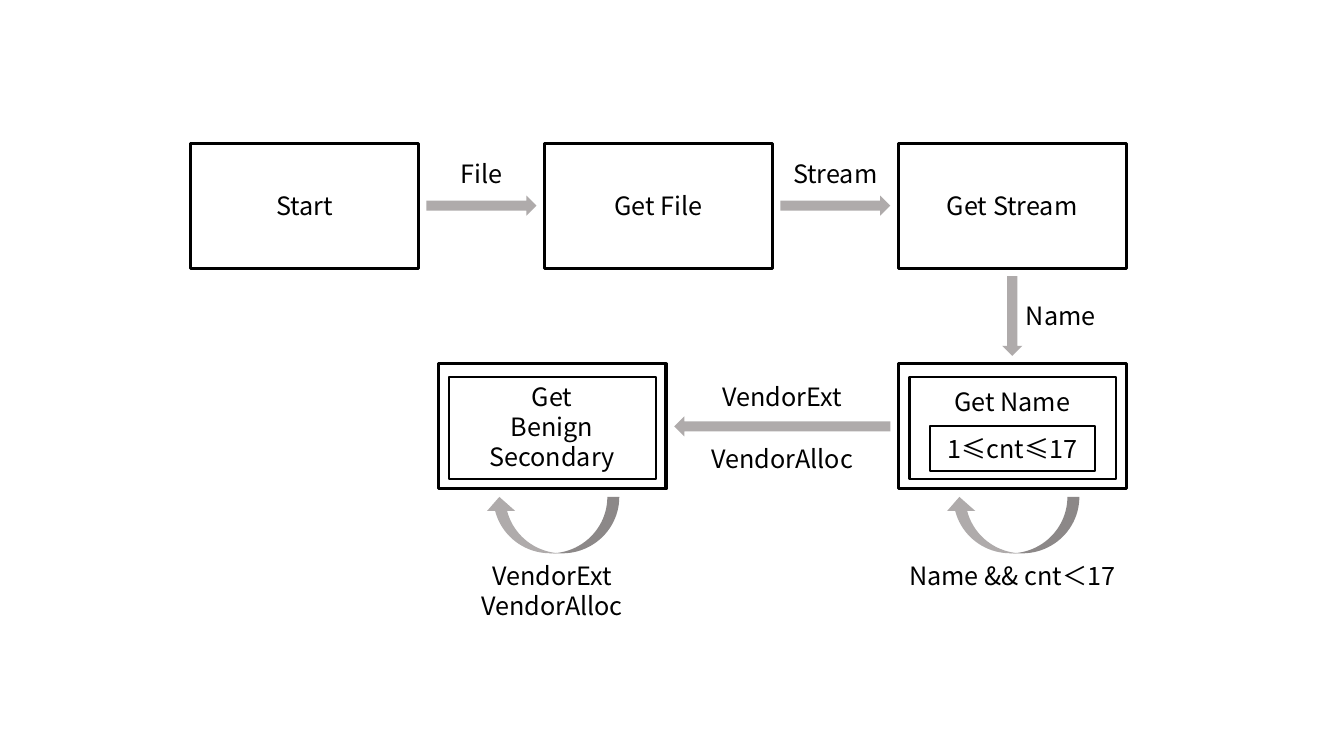
import pptx
import pptx.dml.color
import pptx.enum.shapes
import pptx.enum.text
import pptx.util

Inches = pptx.util.Inches
SHAPE = pptx.enum.shapes.MSO_SHAPE
ANCHOR = pptx.enum.text.MSO_ANCHOR

BLACK = pptx.dml.color.RGBColor(0x00, 0x00, 0x00)
GREY = pptx.dml.color.RGBColor(0xAF, 0xAB, 0xAB)
FONT = "Noto Sans CJK SC"

# Grid of states, in inches
LEFT, TOP = 1.89, 1.42
COLUMN, ROW = 3.51, 2.19
STATE_W, STATE_H = 2.26, 1.24
GAP = 0.08          # between a state and its arrow
THICK = 0.2         # arrow height
LINE_H = 0.4        # one line of label


def state_origin(column, row):
    return LEFT + column * COLUMN, TOP + row * ROW


def write(shape, lines, anchor):
    frame = shape.text_frame
    frame.word_wrap = True
    frame.vertical_anchor = anchor
    frame.text = "\n".join(lines)
    for paragraph in frame.paragraphs:
        paragraph.alignment = pptx.enum.text.PP_ALIGN.CENTER
        paragraph.font.name = FONT
        paragraph.font.size = pptx.util.Pt(18)
        paragraph.font.color.rgb = BLACK


def add_box(slide, x, y, width, height, weight, lines=()):
    box = slide.shapes.add_shape(SHAPE.RECTANGLE, Inches(x), Inches(y),
                                 Inches(width), Inches(height))
    box.shadow.inherit = False
    box.fill.background()
    box.line.color.rgb = BLACK
    box.line.width = pptx.util.Pt(weight)
    if lines:
        write(box, lines, ANCHOR.MIDDLE)


def add_state(slide, column, row, *lines):
    add_box(slide, *state_origin(column, row), STATE_W, STATE_H, 2.25, lines)


def add_inner_frame(slide, column, row):
    x, y = state_origin(column, row)
    add_box(slide, x + 0.11, y + 0.13, 2.05, 1.01, 1.5)


def add_label(slide, center, y, width, *lines):
    label = slide.shapes.add_textbox(Inches(center - width / 2), Inches(y),
                                     Inches(width), Inches(LINE_H * len(lines)))
    write(label, lines, ANCHOR.TOP)


def add_arrow(slide, kind, x, y, width, height):
    arrow = slide.shapes.add_shape(kind, Inches(x), Inches(y),
                                   Inches(width), Inches(height))
    arrow.shadow.inherit = False
    arrow.fill.solid()
    arrow.fill.fore_color.rgb = GREY
    arrow.line.fill.background()
    return arrow


def add_row_arrow(slide, kind, row, from_column, to_column):
    """Fill the space between two states of a row; return its centre."""
    x, y = state_origin(from_column, row)
    start = x + STATE_W + GAP
    end = state_origin(to_column, row)[0] - GAP
    add_arrow(slide, kind, start, y + (STATE_H - THICK) / 2, end - start, THICK)
    return (start + end) / 2


def add_self_loop(slide, column, row, *lines):
    x, y = state_origin(column, row)
    center = x + STATE_W / 2
    width, height = 0.56, 1.33
    middle = y + STATE_H + GAP + width / 2
    loop = add_arrow(slide, SHAPE.CURVED_LEFT_ARROW, center - width / 2,
                     middle - height / 2, width, height)
    loop.rotation = 90
    loop.adjustments[0] = 0.212
    add_label(slide, center, y + 1.9, STATE_W, *lines)


def main():
    deck = pptx.Presentation()
    deck.slide_width, deck.slide_height = Inches(13.33), Inches(7.5)
    slide = deck.slides.add_slide(deck.slide_layouts[6])

    # States
    for column, name in enumerate(("Start", "Get File", "Get Stream")):
        add_state(slide, column, 0, name)
    add_state(slide, 0.7, 1, "Get", "Benign Secondary")
    add_state(slide, 2, 1)
    for column in (0.7, 2):
        add_inner_frame(slide, column, 1)

    # Content of the counting state
    name_x, name_y = state_origin(2, 1)
    name_center = name_x + STATE_W / 2
    add_label(slide, name_center, name_y + 0.17, 1.61, "Get Name")
    add_box(slide, name_x + 0.31, name_y + 0.62, 1.64, 0.44, 1.5, ["1≤cnt≤17"])

    # Transitions along the first row
    for column, event in enumerate(("File", "Stream")):
        center = add_row_arrow(slide, SHAPE.RIGHT_ARROW, 0, column, column + 1)
        add_label(slide, center, TOP + 0.1, 1.1, event)

    # Transition down to the second row
    down_y = TOP + STATE_H + GAP
    add_arrow(slide, SHAPE.DOWN_ARROW, name_center - THICK / 2, down_y,
              THICK, name_y - GAP - down_y)
    add_label(slide, name_center + 0.48, down_y + 0.19, 0.94, "Name")

    # Transition back to the left
    center = add_row_arrow(slide, SHAPE.LEFT_ARROW, 1, 0.7, 2)
    add_label(slide, center, name_y + 0.12, 1.67, "VendorExt")
    add_label(slide, center, name_y + 0.74, 1.67, "VendorAlloc")

    # Self loops
    add_self_loop(slide, 2, 1, "Name && cnt＜17")
    add_self_loop(slide, 0.7, 1, "VendorExt", "VendorAlloc")

    deck.save("out.pptx")


if __name__ == "__main__":
    main()
